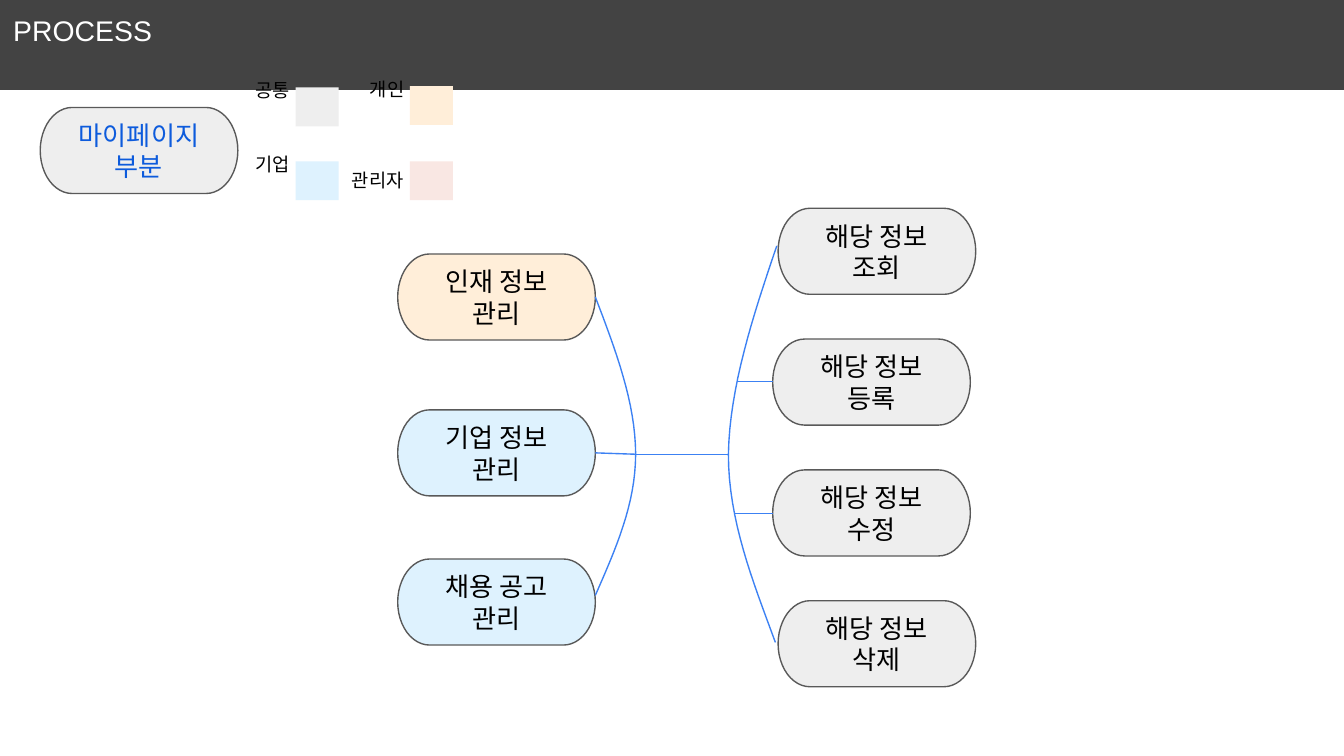
import pptx
import pptx.util
import pptx.dml.color
import pptx.enum.shapes
import pptx.enum.text
import pptx.oxml
import pptx.oxml.ns

Inches = pptx.util.Inches
Pt = pptx.util.Pt
KIND = pptx.enum.shapes.MSO_SHAPE
ANCHOR = pptx.enum.text.MSO_ANCHOR
ALIGN = pptx.enum.text.PP_ALIGN
COLORS = {
    "bar": "434343", "white": "FFFFFF", "black": "000000", "title": "0D5BDC",
    "edge": "595959", "link": "3C81F3", "common": "EEEEEE", "person": "FFEED9",
    "firm": "DEF2FE", "admin": "F9E7E3",
}


def color(name):
    return pptx.dml.color.RGBColor.from_string(COLORS[name])


def write(shape, text, size, ink, align, anchor, pad):
    frame = shape.text_frame
    frame.word_wrap = True
    frame.vertical_anchor = anchor
    frame.margin_left = frame.margin_right = Inches(0.1)
    frame.margin_top = frame.margin_bottom = Inches(pad)
    para = frame.paragraphs[0]
    para.text = text
    para.alignment = align
    para.font.size = Pt(size)
    para.font.name = "Arial"
    para.font.color.rgb = color(ink)


def stroke(shape, ink):
    shape.line.color.rgb = color(ink)
    shape.line.width = Pt(0.75)


def block(shapes, kind, box, fill, edge=None):
    shape = shapes.add_shape(kind, *map(Inches, box))
    shape.shadow.inherit = False
    shape.fill.solid()
    shape.fill.fore_color.rgb = color(fill)
    if edge:
        stroke(shape, edge)
    else:
        shape.line.fill.background()
    return shape


def header(shapes, box, text):
    bar = block(shapes, KIND.RECTANGLE, box, "bar")
    write(bar, text, 15.2, "white", ALIGN.LEFT, ANCHOR.TOP, 0.1)


def node(shapes, left, top, text, fill, ink="black"):
    pill = block(shapes, KIND.FLOWCHART_TERMINATOR, (left, top, 1.47, 0.64), fill, "edge")
    write(pill, text, 14, ink, ALIGN.CENTER, ANCHOR.MIDDLE, 0.1)


def legend(shapes, box, text, fill, left, top, anchor):
    group = shapes.add_group_shape().shapes
    label = group.add_textbox(*map(Inches, box))
    write(label, text, 10, "black", ALIGN.CENTER, anchor, 0.05)
    block(group, KIND.RECTANGLE, (left, top, 0.32, 0.29), fill)


def curve(shapes, start, *parts):
    steps = 16
    points = [start]
    for one, two, end in parts:
        base = points[-1]
        for step in range(1, steps + 1):
            t = step / steps
            u = 1 - t
            points.append(tuple(
                u**3 * a + 3 * u * u * t * b + 3 * u * t * t * c + t**3 * d
                for a, b, c, d in zip(base, one, two, end)))
    spots = [tuple(map(Inches, point)) for point in points]
    path = shapes.build_freeform(*spots[0])
    path.add_line_segments(spots[1:], close=False)
    arc = path.convert_to_shape()
    arc.shadow.inherit = False
    arc.fill.background()
    stroke(arc, "link")


def link(shapes, *ends):
    line = shapes.add_connector(pptx.enum.shapes.MSO_CONNECTOR.STRAIGHT, *map(Inches, ends))
    stroke(line, "link")
    line._element.spPr.append(pptx.oxml.parse_xml(
        "<a:effectLst %s/>" % pptx.oxml.ns.nsdecls("a")))


def flow(shapes, left, top):
    tasks = [("인재 정보 관리", "person", 0.34), ("기업 정보 관리", "firm", 1.5),
             ("채용 공고 관리", "firm", 2.61)]
    for text, fill, down in tasks:
        node(shapes, left, top + down, text, fill)
    for row, (verb, right) in enumerate(
            [("조회", 2.83), ("등록", 2.79), ("수정", 2.79), ("삭제", 2.83)]):
        node(shapes, left + right, top + 2.92 * row / 3, "해당 정보 " + verb, "common")

    def at(x, y):
        return left + x, top + y

    curve(shapes, at(1.47, 0.66),
          (at(1.62, 1.05), at(1.77, 1.45), at(1.77, 1.83)),
          (at(1.77, 2.2), at(1.62, 2.54), at(1.47, 2.88)))
    curve(shapes, at(2.82, 0.28),
          (at(2.64, 0.81), at(2.47, 1.33), at(2.46, 1.83)),
          (at(2.46, 2.32), at(2.64, 2.77), at(2.81, 3.23)))
    for start, end in [((1.77, 1.83), (2.46, 1.83)), ((1.47, 1.82), (1.77, 1.83)),
                       ((2.79, 1.29), (2.52, 1.29)), ((2.79, 2.27), (2.5, 2.27))]:
        link(shapes, *at(*start), *at(*end))


deck = pptx.Presentation()
deck.slide_width = Inches(10)
deck.slide_height = Inches(10 * 9 / 16)
shapes = deck.slides.add_slide(deck.slide_layouts[6]).shapes

header(shapes, (0, 0, 10, 0.67), "PROCESS")
node(shapes, 0.3, 0.8, "마이페이지 부분", "common", "title")
flow(shapes, 2.96, 1.55)
for entry in [
    ((1.78, 0.54, 0.5, 0.44), "공통", "common", 2.2, 0.65, ANCHOR.TOP),
    ((2.63, 0.53, 0.5, 0.44), "개인", "person", 3.05, 0.64, ANCHOR.TOP),
    ((1.78, 1.09, 0.5, 0.44), "기업", "firm", 2.2, 1.2, ANCHOR.TOP),
    ((2.49, 1.12, 0.64, 0.44), "관리자", "admin", 3.05, 1.2, ANCHOR.MIDDLE),
]:
    legend(shapes, *entry)

deck.save("out.pptx")
